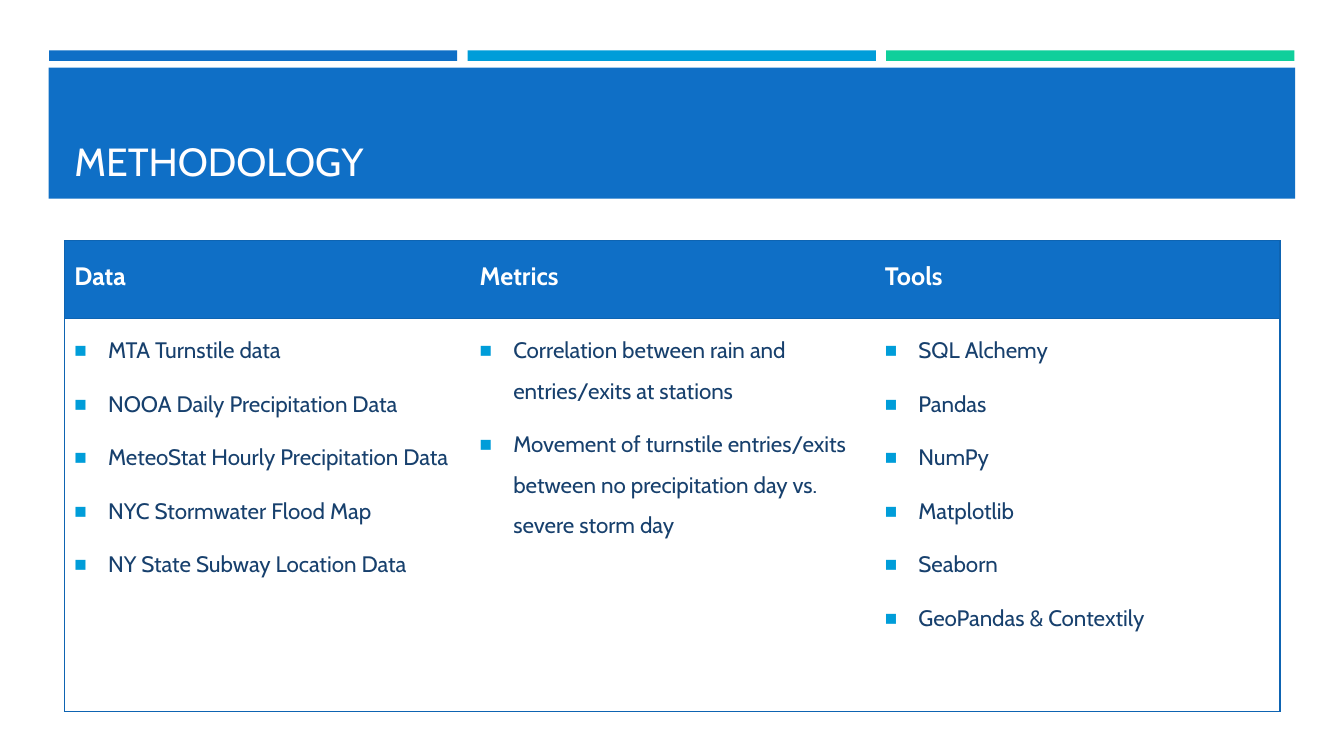
from dataclasses import dataclass

from lxml import etree
from pptx import Presentation
from pptx import util as u
from pptx.dml.color import RGBColor
from pptx.enum import shapes, text
from pptx.oxml import ns


@dataclass(frozen=True)
class Theme:
    font: str = "Cabin"
    blue: str = "0F6FC6"
    sky: str = "009DD9"
    green: str = "10CF9B"
    border: str = "0E64B2"
    navy: str = "17406D"
    white: str = "FFFFFF"
    title_color: str = "FFFEFF"
    title_size: float = 28
    header_size: float = 18
    item_size: float = 16


THEME = Theme()

COLUMNS = {
    "Data": [
        "MTA Turnstile data",
        "NOOA Daily Precipitation Data",
        "MeteoStat Hourly Precipitation Data",
        "NYC Stormwater Flood Map",
        "NY State Subway Location Data",
    ],
    "Metrics": [
        "Correlation between rain and entries/exits at stations",
        "Movement of turnstile entries/exits between no precipitation day "
        "vs. severe storm day",
    ],
    "Tools": [
        "SQL Alchemy",
        "Pandas",
        "NumPy",
        "Matplotlib",
        "Seaborn",
        "GeoPandas & Contextily",
    ],
}


def add_child(parent, tag, **attributes):
    child = etree.SubElement(parent, ns.qn(tag))
    for name, value in attributes.items():
        child.set(name, str(value))
    return child


def add_bar(slide, left, top, width, height, color):
    bar = slide.shapes.add_shape(
        shapes.MSO_SHAPE.RECTANGLE, u.Pt(left), u.Pt(top), u.Pt(width), u.Pt(height)
    )
    bar.shadow.inherit = False
    bar.fill.solid()
    bar.fill.fore_color.rgb = RGBColor.from_string(color)
    bar.line.fill.background()


def add_span(para, words, size, color, bold=False):
    span = para.add_run()
    span.text = words
    span.font.name = THEME.font
    span.font.size = u.Pt(size)
    span.font.bold = bold
    span.font.color.rgb = RGBColor.from_string(color)


def place_title(slide, words):
    title = slide.shapes.title
    title.left, title.top = u.Pt(46), u.Pt(55.5)
    title.width, title.height = u.Pt(868.32), u.Pt(80)
    frame = title.text_frame
    frame.word_wrap = True
    frame.auto_size = text.MSO_AUTO_SIZE.NONE
    frame.vertical_anchor = text.MSO_ANCHOR.BOTTOM
    para = frame.paragraphs[0]
    para.alignment = text.PP_ALIGN.LEFT
    add_span(para, words, THEME.title_size, THEME.title_color)
    # Bring the title in front of the banner.
    title.element.getparent().append(title.element)


def set_borders(cell, drawn_sides):
    """Draw the given sides (of "LRTB") and hide the others."""
    properties = cell._tc.get_or_add_tcPr()
    for side in "LRTB":
        line = add_child(properties, f"a:ln{side}", w=u.Pt(1))
        if side in drawn_sides:
            fill = add_child(line, "a:solidFill")
            add_child(fill, "a:srgbClr", val=THEME.border)
        else:
            add_child(line, "a:noFill")


def set_bullet(para):
    properties = para._p.get_or_add_pPr()
    indent = u.Pt(24)
    properties.set("marL", str(indent))
    properties.set("indent", str(-indent))
    color = add_child(properties, "a:buClr")
    add_child(color, "a:srgbClr", val=THEME.sky)
    add_child(properties, "a:buSzPct", val=92000)
    add_child(properties, "a:buFont", typeface="Arial")
    add_child(properties, "a:buChar", char="■")


def fill_header(cell, heading):
    cell.fill.solid()
    cell.fill.fore_color.rgb = RGBColor.from_string(THEME.blue)
    para = cell.text_frame.paragraphs[0]
    para.line_spacing = 1.5
    add_span(para, heading, THEME.header_size, THEME.white, bold=True)


def fill_list(cell, items):
    cell.fill.background()
    frame = cell.text_frame
    for index, item in enumerate(items):
        para = frame.add_paragraph() if index else frame.paragraphs[0]
        set_bullet(para)
        para.line_spacing = 1.5
        para.space_before = u.Pt(3.2 if index else 0)
        para.space_after = u.Pt(6)
        add_span(para, item, THEME.item_size, THEME.navy)


def add_method_table(slide, columns):
    count = len(columns)
    table = slide.shapes.add_table(
        2, count, u.Pt(46), u.Pt(172), u.Pt(868.32), u.Pt(336.3)
    ).table
    table.first_row = table.horz_banding = False
    table.rows[0].height, table.rows[1].height = u.Pt(55.5), u.Pt(280.8)
    for index, (heading, items) in enumerate(columns.items()):
        header, body = table.cell(0, index), table.cell(1, index)
        outer = ("L" if index == 0 else "") + ("R" if index == count - 1 else "")
        set_borders(header, outer + "T")
        set_borders(body, outer + "TB")
        fill_header(header, heading)
        fill_list(body, items)


def main():
    deck = Presentation()
    deck.slide_width, deck.slide_height = u.Pt(960), u.Pt(540)
    slide = deck.slides.add_slide(deck.slide_layouts[5])
    for index, color in enumerate((THEME.blue, THEME.sky, THEME.green)):
        add_bar(slide, 35 + 299 * index, 36, 291.6, 7.5, color)
    add_bar(slide, 34.8, 48.3, 890.4, 93.7, THEME.blue)
    place_title(slide, "METHODOLOGY")
    add_method_table(slide, COLUMNS)
    deck.save("out.pptx")


if __name__ == "__main__":
    main()
